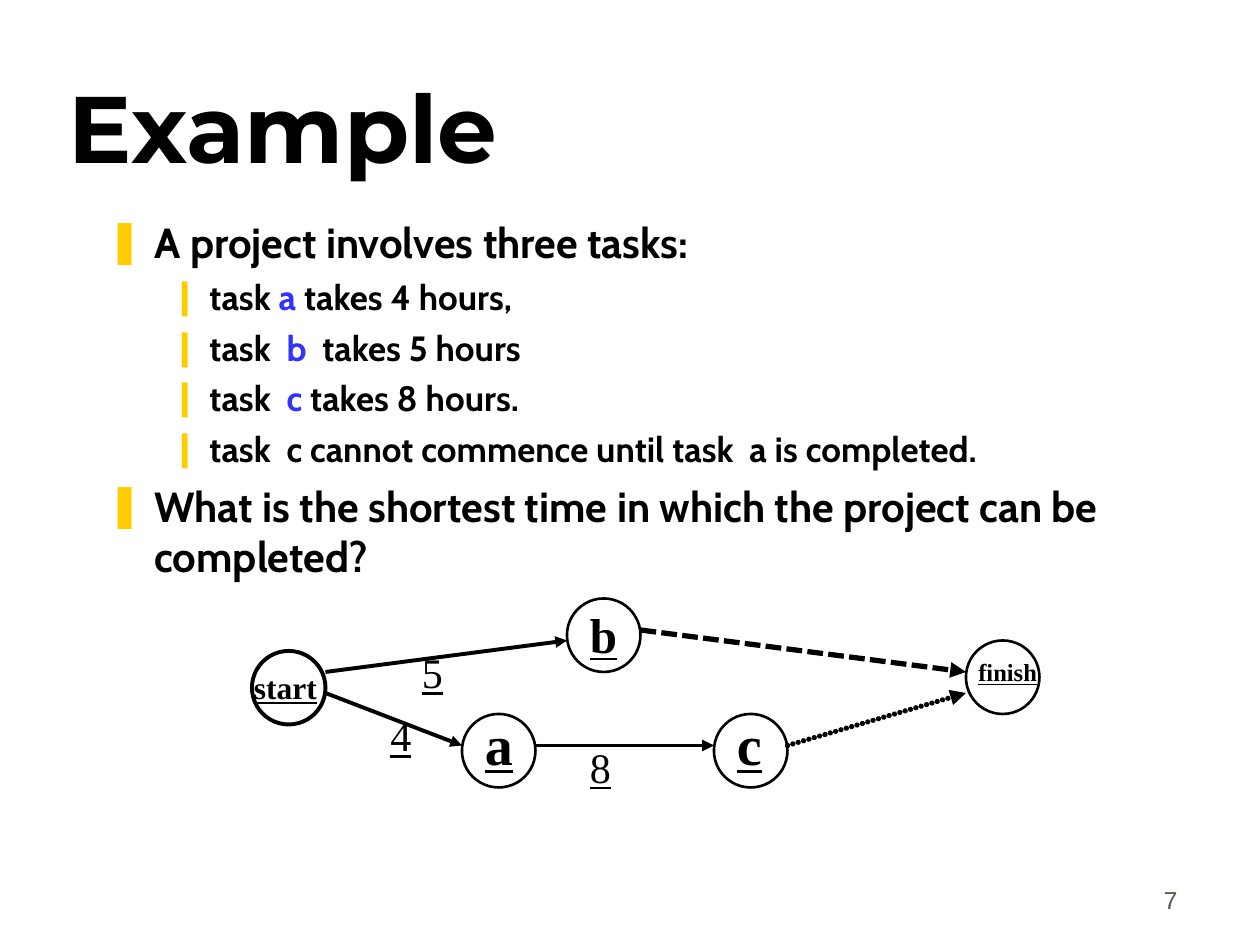
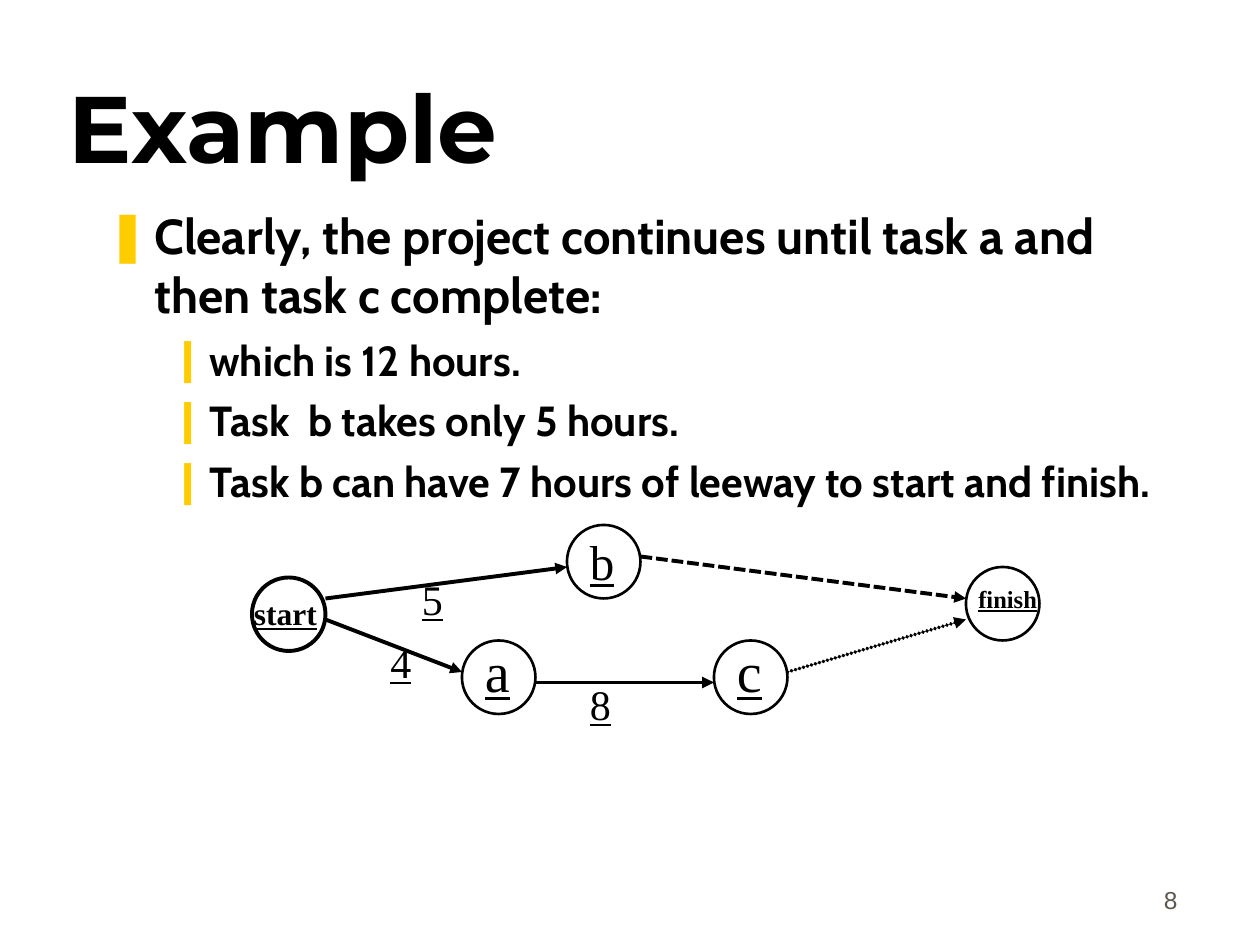
import pptx
import pptx.util
import pptx.dml.color
import pptx.enum.dml
import pptx.enum.shapes
import pptx.enum.text
import pptx.oxml
import pptx.oxml.ns

Pt = pptx.util.Pt
qn = pptx.oxml.ns.qn
DASH = pptx.enum.dml.MSO_LINE

COLOURS = {"ink": "000000", "task": "3333FF", "bullet": "FFCC00", "page": "5E574E"}
FONTS = {"title": "Montserrat", "body": "Cabin", "diagram": "Times New Roman", "page": "Arial"}
TITLE_BOX = (32, 18, 612, 90)
PAGE_BOX = (530, 490, 150, 36)
NODE_SIZE = 42
BULLETS = [("❚", 27, -27), ("❙", 58.5, -22.5)]

SLIDES = [
    {
        "page": "7",
        "title": "Example",
        "list_top": 120,
        "list_sizes": (24, 20),
        "points": [
            (0, ["A project involves three tasks:"]),
            (1, ["task ", "a", " takes 4 hours,"]),
            (1, ["task  ", "b", "  takes 5 hours"]),
            (1, ["task  ", "c", " takes 8 hours."]),
            (1, ["task  c cannot commence until task  a is completed."]),
            (0, ["What is the shortest time in which the project can be completed?"]),
        ],
        "network_top": 342,
        "bold_tasks": True,
        "finish_width": 3,
        "a_to_c_drop": 0,
    },
    {
        "page": "8",
        "title": "Example",
        "list_top": 114,
        "list_sizes": (28, 24),
        "points": [
            (0, ["Clearly, the project continues until task a and then task c complete:"]),
            (1, ["which is 12 hours."]),
            (1, ["Task  b takes only 5 hours."]),
            (1, ["Task b can have 7 hours of leeway to start and finish."]),
        ],
        "network_top": 300,
        "bold_tasks": False,
        "finish_width": 2.25,
        "a_to_c_drop": 6,
    },
]

# name: left, top, outline, label offset, label size (tops count from network_top)
NODES = {
    "start": (144, 30, 2.25, (-6, 6), (72, 29), 18),
    "a": (264, 66, 1.5, (6, -6), (36, 46), 32),
    "c": (408, 66, 1.5, (6, -6), (42, 46), 32),
    "b": (324, 0, 1.5, (6, 0), (30, 41), 28),
    "finish": (552, 24, 1.5, (0, 6), (72, 24), 14),
}
ARROWS = [
    ("start", 24, "a", 18, "solid"),
    ("a", 18, "c", 18, "solid"),
    ("c", 18, "finish", 30, "round dots"),
    ("start", 12, "b", 24, "solid"),
    ("b", 18, "finish", 18, "square dots"),
]
DURATIONS = [("5", 234, 24), ("4", 216, 60), ("8", 330, 78)]


def colour(name):
    return pptx.dml.color.RGBColor.from_string(COLOURS[name])


def style(run, font, size, ink="ink", bold=False, underline=False):
    run.font.name = FONTS[font]
    run.font.size = Pt(size)
    run.font.bold = bold
    run.font.underline = underline
    run.font.color.rgb = colour(ink)


def place(part, left, top, width, height):
    part.left, part.top, part.width, part.height = map(Pt, (left, top, width, height))


def add_label(slide, text, box, font, size, **look):
    label = slide.shapes.add_textbox(*map(Pt, box))
    label.text_frame.word_wrap = True
    label.text_frame.text = text
    style(label.text_frame.paragraphs[0].runs[0], font, size, **look)
    return label.text_frame


def add_title(slide, text):
    title = slide.shapes.title
    place(title, *TITLE_BOX)
    frame = title.text_frame
    frame.text = text
    frame.auto_size = pptx.enum.text.MSO_AUTO_SIZE.NONE
    frame.vertical_anchor = pptx.enum.text.MSO_ANCHOR.BOTTOM
    frame.paragraphs[0].alignment = pptx.enum.text.PP_ALIGN.LEFT
    style(frame.paragraphs[0].runs[0], "title", 54, bold=True)


def set_bullet(paragraph, level):
    mark, margin, indent = BULLETS[level]
    properties = paragraph._p.get_or_add_pPr()
    properties.set("marL", str(Pt(margin)))
    properties.set("indent", str(Pt(indent)))
    bullet_colour = pptx.oxml.ns.nsdecls("a")
    properties.append(pptx.oxml.parse_xml(
        f'<a:buClr {bullet_colour}><a:srgbClr val="{COLOURS["bullet"]}"/></a:buClr>'))
    properties.append(pptx.oxml.parse_xml(f'<a:buChar {bullet_colour} char="{mark}"/>'))


def add_points(slide, content):
    body = slide.placeholders[1]
    place(body, 54, content["list_top"], 612, 324)
    frame = body.text_frame
    frame.auto_size = pptx.enum.text.MSO_AUTO_SIZE.NONE
    for index, (level, pieces) in enumerate(content["points"]):
        point = frame.add_paragraph() if index else frame.paragraphs[0]
        size = content["list_sizes"][level]
        point.level = level
        point.space_before = Pt(size / 4 if index else 0)
        set_bullet(point, level)
        for position, piece in enumerate(pieces):
            run = point.add_run()
            run.text = piece
            style(run, "body", size, "task" if position % 2 else "ink", bold=True)


def add_arrow(slide, ends, width, dash):
    arrow = slide.shapes.add_connector(
        pptx.enum.shapes.MSO_CONNECTOR.STRAIGHT, *map(Pt, ends))
    arrow.line.color.rgb = colour("ink")
    arrow.line.width = Pt(width)
    outline = arrow.line._get_or_add_ln()
    if dash == "square dots":
        arrow.line.dash_style = DASH.SQUARE_DOT
    elif dash == "round dots":
        outline.set("cap", "rnd")
        dots = outline.makeelement(qn("a:custDash"), {})
        dots.append(dots.makeelement(qn("a:ds"), {"d": "1000", "sp": "105000"}))
        outline.append(dots)
    outline.append(outline.makeelement(qn("a:tailEnd"), {"type": "triangle"}))
    properties = arrow._element.spPr
    properties.append(properties.makeelement(qn("a:effectLst"), {}))


def add_network(slide, content):
    network_top = content["network_top"]
    for left, top, outline, *_ in NODES.values():
        node = slide.shapes.add_shape(
            pptx.enum.shapes.MSO_SHAPE.OVAL,
            Pt(left), Pt(network_top + top), Pt(NODE_SIZE), Pt(NODE_SIZE))
        node.shadow.inherit = False
        node.fill.background()
        node.line.color.rgb = colour("ink")
        node.line.width = Pt(outline)

    for source, exit_drop, target, entry_drop, dash in ARROWS:
        drop = content["a_to_c_drop"] if (source, target) == ("a", "c") else 0
        source_left, source_top = NODES[source][:2]
        target_left, target_top = NODES[target][:2]
        ends = (source_left + NODE_SIZE, network_top + source_top + exit_drop + drop,
                target_left, network_top + target_top + entry_drop + drop)
        width = content["finish_width"] if target == "finish" else 2.25
        add_arrow(slide, ends, width, dash)

    for name, (left, top, _, offset, extent, size) in NODES.items():
        box = (left + offset[0], network_top + top + offset[1], *extent)
        bold = content["bold_tasks"] or name in ("start", "finish")
        add_label(slide, name, box, "diagram", size, bold=bold, underline=True)

    for hours, left, top in DURATIONS:
        drop = content["a_to_c_drop"] if hours == "8" else 0
        box = (left, network_top + top + drop, 48, 36)
        add_label(slide, hours, box, "diagram", 24, underline=True)


def add_page_number(slide, number):
    frame = add_label(slide, number, PAGE_BOX, "page", 14, ink="page")
    frame.vertical_anchor = pptx.enum.text.MSO_ANCHOR.BOTTOM
    frame.paragraphs[0].alignment = pptx.enum.text.PP_ALIGN.RIGHT


def main():
    deck = pptx.Presentation()
    deck.slide_width, deck.slide_height = Pt(720), Pt(540)
    for content in SLIDES:
        slide = deck.slides.add_slide(deck.slide_layouts[1])
        add_page_number(slide, content["page"])
        add_title(slide, content["title"])
        add_points(slide, content)
        add_network(slide, content)
    deck.save("out.pptx")


if __name__ == "__main__":
    main()
